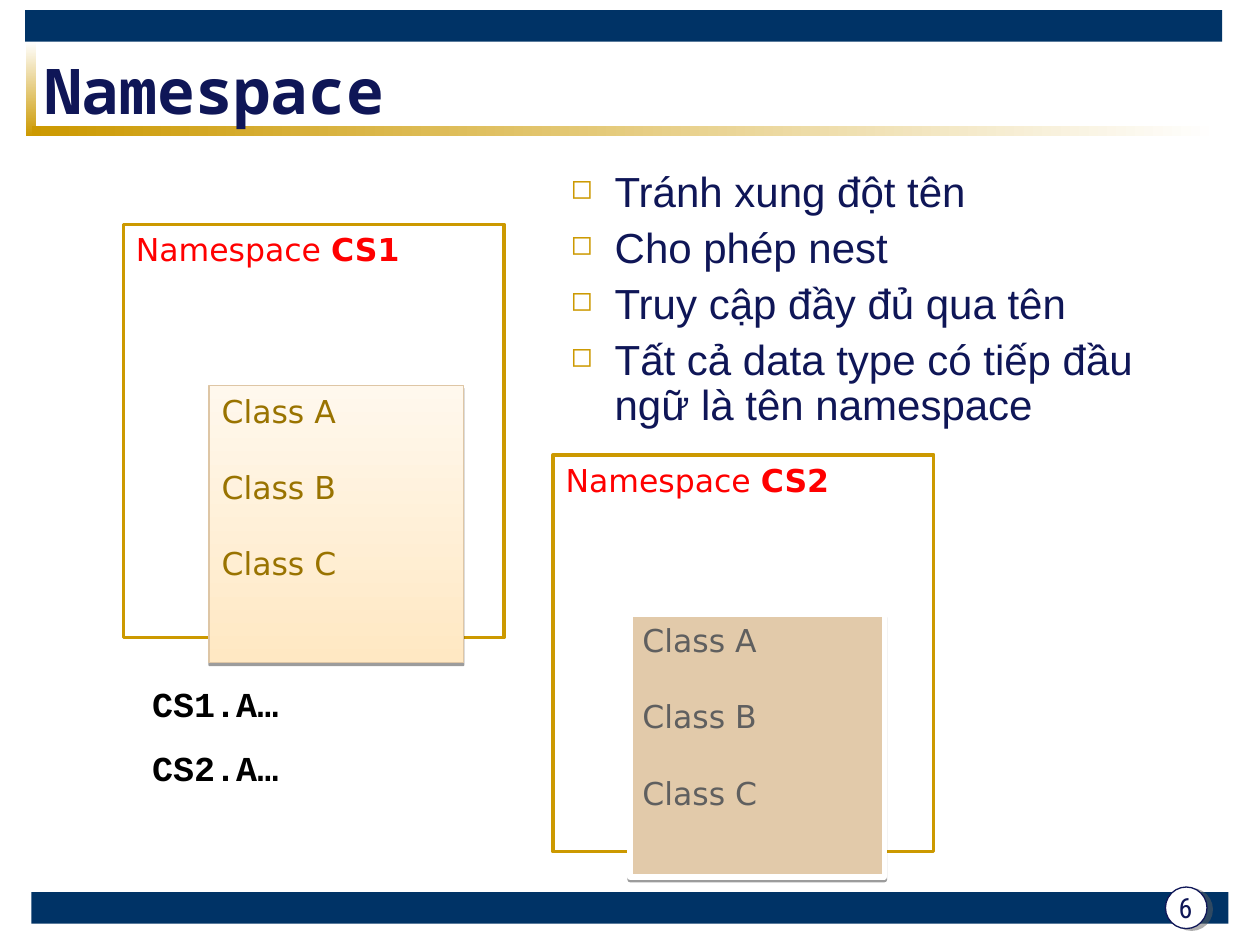
import pptx
import pptx.util
import pptx.dml.color
import pptx.enum.shapes
import pptx.enum.text
import pptx.oxml
import pptx.oxml.ns
from dataclasses import dataclass
from lxml import etree

Inches = pptx.util.Inches
Pt = pptx.util.Pt
SHAPE = pptx.enum.shapes.MSO_SHAPE
ANCHOR = pptx.enum.text.MSO_ANCHOR
ALIGN = pptx.enum.text.PP_ALIGN
qn = pptx.oxml.ns.qn


@dataclass(frozen=True)
class Theme:
    navy: str = "0F1657"
    bar: str = "003366"
    gold: str = "CC9900"
    white: str = "FFFFFF"
    black: str = "000000"
    red: str = "FF0000"
    brown: str = "997300"
    grey: str = "5F5F5F"
    tan: str = "E2CAAA"
    tan_line: str = "DEC6A5"
    cream: tuple = ("FFE8C3", "FFF8ED")
    title_size: int = 36
    bullet_size: int = 24
    code_size: int = 20
    label_size: int = 18
    number_size: int = 16
    title_font: str = "Noto Sans Mono"
    body_font: str = "Arial"
    label_font: str = "DejaVu Sans"
    code_font: str = "Courier New"
    number_font: str = "Roboto Condensed"


T = Theme()


def rgb(color):
    return pptx.dml.color.RGBColor.from_string(color)


def add_run(p, text, font, size, color, bold=False):
    r = p.add_run()
    r.text = text
    r.font.name = font
    r.font.size = Pt(size)
    r.font.color.rgb = rgb(color)
    r.font.bold = bold


def next_paragraph(tf, i):
    return tf.paragraphs[0] if i == 0 else tf.add_paragraph()


def add_shadow(sp, color, alpha, distance, angle):
    effects = sp.element.spPr.find(qn("a:effectLst"))
    shadow = etree.SubElement(effects, qn("a:outerShdw"), dist=str(Pt(distance)),
                              dir=str(angle * 60000), algn="ctr", rotWithShape="0")
    clr = etree.SubElement(shadow, qn("a:srgbClr"), val=color)
    etree.SubElement(clr, qn("a:alpha"), val=str(alpha * 1000))


def add_panel(s, at, fill, line=None, width=0.75, angle=0, kind=SHAPE.RECTANGLE):
    """Add a shape; a pair of fill colours makes a gradient, angle counter-clockwise."""
    sp = s.shapes.add_shape(kind, *map(Inches, at))
    sp.shadow.inherit = False
    if isinstance(fill, tuple):
        sp.fill.gradient()
        sp.fill.gradient_angle = angle
        for stop, color in zip(sp.fill.gradient_stops, fill):
            stop.color.rgb = rgb(color)
    else:
        sp.fill.solid()
        sp.fill.fore_color.rgb = rgb(fill)
    if line:
        sp.line.color.rgb = rgb(line)
        sp.line.width = Pt(width)
    else:
        sp.line.fill.background()
    tf = sp.text_frame
    tf.word_wrap = True
    tf.vertical_anchor = ANCHOR.TOP
    tf.paragraphs[0].alignment = ALIGN.LEFT
    return sp


def add_text_box(s, at):
    tf = s.shapes.add_textbox(*map(Inches, at)).text_frame
    tf.word_wrap = True
    return tf


def add_frame(s):
    add_panel(s, (0.25, 7.08, 9.5, 0.25), T.bar)
    add_panel(s, (0.2, 0.08, 9.5, 0.25), T.bar)
    add_panel(s, (0.21, 0.33, 0.08, 0.75), (T.white, T.gold), angle=270)
    add_panel(s, (0.25, 1, 9.42, 0.08), (T.gold, T.white))
    disc = add_panel(s, (9.25, 7.04, 0.33, 0.33), T.white, T.navy, kind=SHAPE.OVAL)
    add_shadow(disc, T.grey, 50, 3.2, 18)


def set_title(s, text):
    title = s.shapes.title
    title.left, title.top, title.width, title.height = map(Inches, (0.25, 0.42, 9, 0.58))
    s.shapes.element.append(title.element)  # in front of the gold rule
    tf = title.text_frame
    tf.auto_size = pptx.enum.text.MSO_AUTO_SIZE.NONE
    tf.vertical_anchor = ANCHOR.MIDDLE
    p = tf.paragraphs[0]
    p.alignment = ALIGN.LEFT
    add_run(p, text, T.title_font, T.title_size, T.navy, bold=True)


def add_bullets(s, at, items):
    tf = add_text_box(s, at)
    for i, item in enumerate(items):
        p = next_paragraph(tf, i)
        p.line_spacing = 0.9
        if i:
            p.space_before = Pt(6)
        pPr = p._p.get_or_add_pPr()
        pPr.set("marL", str(Inches(0.35)))
        pPr.set("indent", str(-Inches(0.35)))
        color = etree.SubElement(pPr, qn("a:buClr"))
        etree.SubElement(color, qn("a:srgbClr"), val=T.gold)
        etree.SubElement(pPr, qn("a:buSzPct"), val="65000")
        etree.SubElement(pPr, qn("a:buChar"), char="◻")
        add_run(p, item, T.body_font, T.bullet_size, T.navy)


def add_namespace(s, at, name):
    p = add_panel(s, at, T.white, T.gold, 2).text_frame.paragraphs[0]
    add_run(p, "Namespace ", T.label_font, T.label_size, T.red)
    add_run(p, name, T.label_font, T.label_size, T.red, bold=True)


def add_classes(s, at, fill, line, width, color):
    sp = add_panel(s, at, fill, line, width, angle=90)
    add_shadow(sp, T.black, 38, 1.6, 90)
    for i, letter in enumerate("ABC"):
        p = next_paragraph(sp.text_frame, i)
        p.alignment = ALIGN.LEFT
        if i:
            p.space_before = Pt(22)
        add_run(p, f"Class {letter}", T.label_font, T.label_size, color)


def add_code(s, at, lines):
    tf = add_text_box(s, at)
    for i, line in enumerate(lines):
        p = next_paragraph(tf, i)
        if i:
            p.space_before = Pt(12.5)
        add_run(p, line, T.code_font, T.code_size, T.black, bold=True)


def add_page_number(s, number):
    tf = add_text_box(s, (9.19, 6.98, 0.44, 0.44))
    tf.vertical_anchor = ANCHOR.MIDDLE
    p = tf.paragraphs[0]
    p.alignment = ALIGN.CENTER
    add_run(p, number, T.number_font, T.number_size, T.navy)


def main():
    prs = pptx.Presentation()
    prs.slide_width, prs.slide_height = Inches(10), Inches(7.5)
    s = prs.slides.add_slide(prs.slide_layouts[5])
    add_frame(s)
    set_title(s, "Namespace")
    add_bullets(s, (4.43, 1.31, 5.18, 2.26), (
        "Tránh xung đột tên",
        "Cho phép nest",
        "Truy cập đầy đủ qua tên",
        "Tất cả data type có tiếp đầu ngữ là tên namespace",
    ))
    add_page_number(s, "6")
    add_namespace(s, (0.98, 1.78, 3.02, 3.28), "CS1")
    add_classes(s, (1.66, 3.06, 2.02, 2.2), T.cream, T.tan_line, 0.75, T.brown)
    add_namespace(s, (4.39, 3.61, 3.02, 3.15), "CS2")
    add_classes(s, (5, 4.88, 2.02, 2.08), T.tan, T.white, 3, T.grey)
    add_code(s, (1.11, 5.37, 2.46, 0.94), ("CS1.A…", "CS2.A…"))
    prs.save("out.pptx")


if __name__ == "__main__":
    main()
